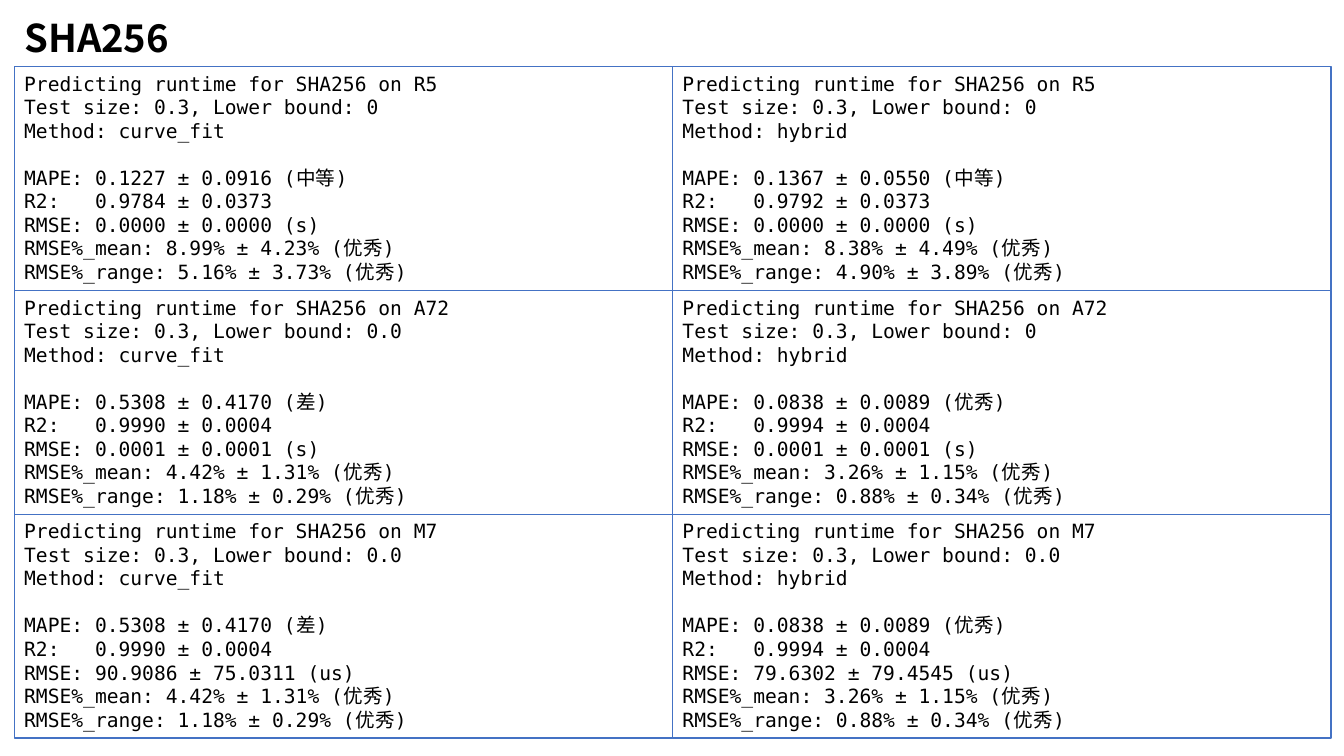
"""Build the SHA256 runtime prediction slide: three processors by two methods."""
import lxml.etree
import pptx
import pptx.dml.color
import pptx.enum.shapes
import pptx.enum.text
import pptx.oxml.ns
import pptx.util

Cm, Pt = pptx.util.Cm, pptx.util.Pt
CJK_FONT = "Noto Sans CJK SC"


def color(hex_value):
    return pptx.dml.color.RGBColor.from_string(hex_value)


def style(run, latin_font, size, bold=False):
    run.font.name = latin_font
    run.font.size = Pt(size)
    run.font.bold = bold
    run.font.color.rgb = color("000000")
    east_asian = lxml.etree.SubElement(run.font._element, pptx.oxml.ns.qn("a:ea"))
    east_asian.set("typeface", CJK_FONT)


results = [
    ("R5", "curve_fit", "0", "0.1227 ± 0.0916 (中等)", "0.9784 ± 0.0373",
     "0.0000 ± 0.0000 (s)", "8.99% ± 4.23%", "5.16% ± 3.73%"),
    ("R5", "hybrid", "0", "0.1367 ± 0.0550 (中等)", "0.9792 ± 0.0373",
     "0.0000 ± 0.0000 (s)", "8.38% ± 4.49%", "4.90% ± 3.89%"),
    ("A72", "curve_fit", "0.0", "0.5308 ± 0.4170 (差)", "0.9990 ± 0.0004",
     "0.0001 ± 0.0001 (s)", "4.42% ± 1.31%", "1.18% ± 0.29%"),
    ("A72", "hybrid", "0", "0.0838 ± 0.0089 (优秀)", "0.9994 ± 0.0004",
     "0.0001 ± 0.0001 (s)", "3.26% ± 1.15%", "0.88% ± 0.34%"),
    ("M7", "curve_fit", "0.0", "0.5308 ± 0.4170 (差)", "0.9990 ± 0.0004",
     "90.9086 ± 75.0311 (us)", "4.42% ± 1.31%", "1.18% ± 0.29%"),
    ("M7", "hybrid", "0.0", "0.0838 ± 0.0089 (优秀)", "0.9994 ± 0.0004",
     "79.6302 ± 79.4545 (us)", "3.26% ± 1.15%", "0.88% ± 0.34%"),
]
left, top, panel_width, panel_height = 0.36, 1.68, 16.59, 5.64

presentation = pptx.Presentation()
presentation.slide_width = Cm(33.87)
presentation.slide_height = Cm(19.05)
slide = presentation.slides.add_slide(presentation.slide_layouts[5])

heading = slide.shapes.title
heading.left, heading.top = Cm(left), Cm(0.41)
heading.width, heading.height = Cm(19.3), Cm(1.27)
heading.text_frame.text = "SHA256"
heading.text_frame.auto_size = pptx.enum.text.MSO_AUTO_SIZE.NONE
heading.text_frame.vertical_anchor = pptx.enum.text.MSO_ANCHOR.MIDDLE
heading_line = heading.text_frame.paragraphs[0]
heading_line.alignment = pptx.enum.text.PP_ALIGN.LEFT
heading_line.line_spacing = 0.8
style(heading_line.runs[0], CJK_FONT, 27.3, bold=True)

for index, (processor, method, bound, mape, r2, rmse, mean, span) in enumerate(results):
    row, column = divmod(index, 2)
    panel = slide.shapes.add_shape(
        pptx.enum.shapes.MSO_SHAPE.RECTANGLE,
        Cm(left + column * panel_width), Cm(top + row * panel_height),
        Cm(panel_width), Cm(panel_height))
    panel.shadow.inherit = False
    panel.fill.background()
    panel.line.color.rgb = color("4472C4")
    panel.line.width = Pt(1)
    report = panel.text_frame
    report.word_wrap = True
    report.vertical_anchor = pptx.enum.text.MSO_ANCHOR.TOP
    report.text = "\n".join([
        f"Predicting runtime for SHA256 on {processor}",
        f"Test size: 0.3, Lower bound: {bound}",
        f"Method: {method}",
        f"MAPE: {mape}",
        f"R2:   {r2}",
        f"RMSE: {rmse}",
        f"RMSE%_mean: {mean} (优秀)",
        f"RMSE%_range: {span} (优秀)",
    ])
    for report_line in report.paragraphs:
        report_line.alignment = pptx.enum.text.PP_ALIGN.LEFT
        style(report_line.runs[0], "DejaVu Sans Mono", 14)
    report.paragraphs[3].space_before = Pt(16.8)

presentation.save("out.pptx")
